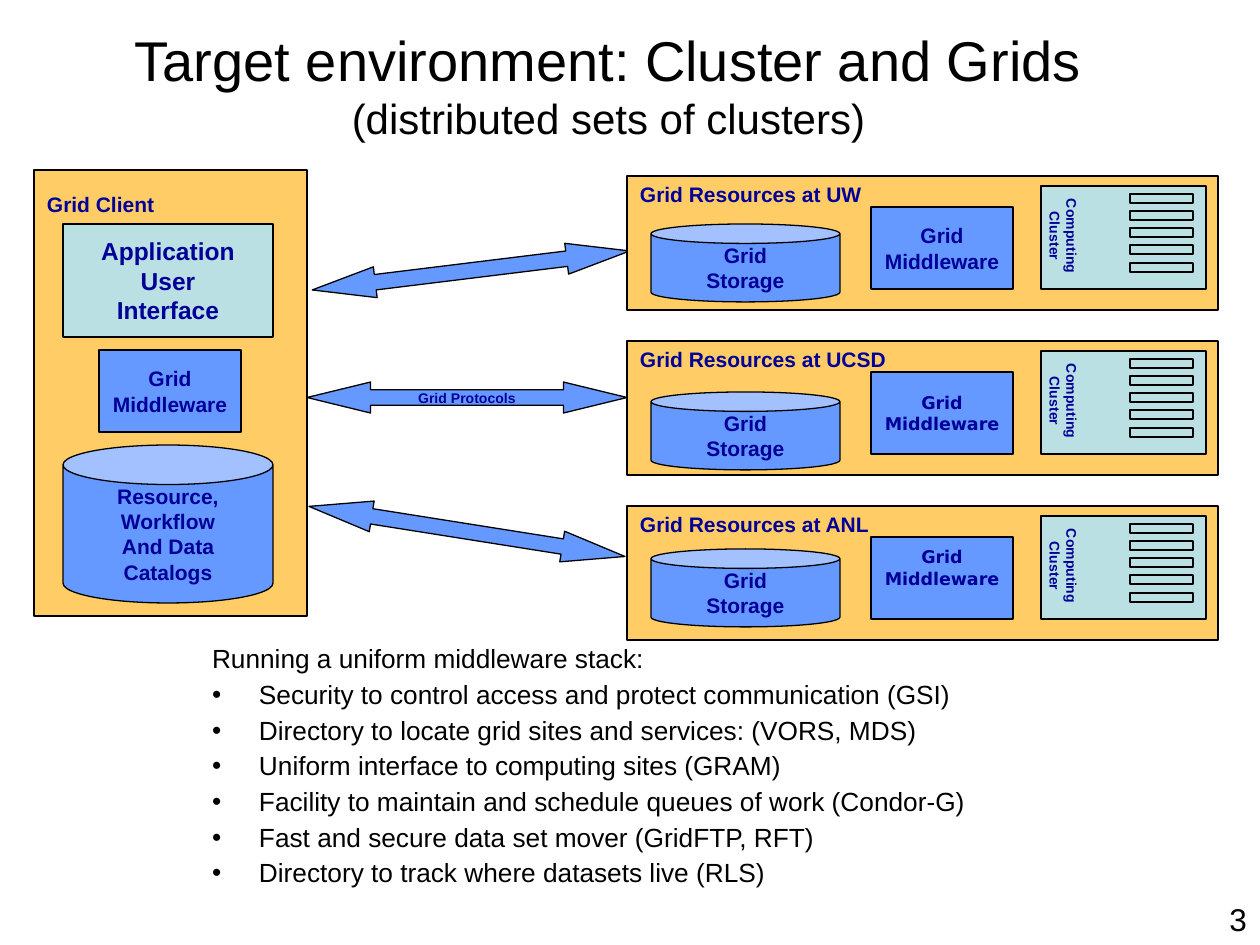
"""Build the slide on clusters and grids as a target environment."""
from dataclasses import dataclass

from lxml import etree
from pptx import Presentation
from pptx import util as u
from pptx.dml.color import RGBColor
from pptx.enum import shapes, text
from pptx.oxml import ns

Shape = shapes.MSO_SHAPE
Anchor = text.MSO_ANCHOR
Align = text.PP_ALIGN
EMU_PER_PX = 914400 / 126


@dataclass(frozen=True)
class Theme:
    sans: str = "Arial"
    alternate: str = "DejaVu Sans"
    ink: str = "000000"
    label: str = "000099"
    panel: str = "FFCC66"
    service: str = "6699FF"
    pale: str = "BBE0E3"
    title: int = 32
    subtitle: int = 24
    number: int = 18
    body: int = 15
    large: int = 14
    normal: int = 12
    compact: int = 10
    small: int = 8


THEME = Theme()


@dataclass(frozen=True)
class Box:
    left: int
    top: int
    width: int
    height: int
    fill: str
    kind: Shape = Shape.RECTANGLE
    lines: tuple[str, ...] = ()
    size: int = THEME.normal
    font: str = THEME.sans
    align: Align = Align.CENTER
    anchor: Anchor = Anchor.MIDDLE
    insets: tuple[int, int, int, int] = (13, 6, 13, 6)
    vertical: bool = False
    adjustments: tuple[float, ...] = ()
    rotation: int = 0


@dataclass(frozen=True)
class Site:
    name: str
    top: int
    storage_offset: int
    font: str = THEME.alternate
    size: int = THEME.compact
    bottom_inset: int = 6


SITES = (
    Site("UW", 176, 48, THEME.sans, THEME.normal),
    Site("UCSD", 341, 51),
    Site("ANL", 506, 43, bottom_inset=27),
)
MIDDLEWARE = ("Grid", "Middleware")
SERVICES = (
    "Security to control access and protect communication (GSI)",
    "Directory to locate grid sites and services: (VORS, MDS)",
    "Uniform interface to computing sites (GRAM)",
    "Facility to maintain and schedule queues of work (Condor-G)",
    "Fast and secure data set mover (GridFTP, RFT)",
    "Directory to track where datasets live (RLS)",
)


def px(length: int) -> u.Emu:
    """Turn pixels into EMU."""
    return u.Emu(round(length * EMU_PER_PX))


def place(shape, left: int, top: int, width: int, height: int) -> None:
    """Move and size a shape in pixels."""
    shape.left, shape.top, shape.width, shape.height = map(px, (left, top, width, height))


def set_font(font, size: int, color: str = THEME.ink, name: str = THEME.sans, bold: bool = False) -> None:
    """Set the face, size, colour and weight of a font."""
    font.name, font.size, font.bold = name, u.Pt(size), bold
    font.color.rgb = RGBColor.from_string(color)


def set_frame(frame, anchor: Anchor, insets: tuple[int, int, int, int] = (13, 6, 13, 6), wrap: bool = True) -> None:
    """Set the insets, anchor and wrapping of a text frame."""
    frame.margin_left, frame.margin_top, frame.margin_right, frame.margin_bottom = map(px, insets)
    frame.vertical_anchor, frame.word_wrap = anchor, wrap
    frame.auto_size = text.MSO_AUTO_SIZE.NONE


def draw_box(container, box: Box) -> None:
    """Draw an outlined shape with its label."""
    shape = container.add_shape(box.kind, *map(px, (box.left, box.top, box.width, box.height)))
    shape.shadow.inherit = False
    shape.fill.solid()
    shape.fill.fore_color.rgb = RGBColor.from_string(box.fill)
    shape.line.color.rgb = RGBColor.from_string(THEME.ink)
    shape.line.width = u.Pt(0.75)
    shape.rotation = box.rotation
    for index, value in enumerate(box.adjustments):
        shape.adjustments[index] = value
    if not box.lines:
        return
    frame = shape.text_frame
    set_frame(frame, box.anchor, box.insets, wrap=False)
    if box.vertical:
        frame._txBody.bodyPr.set("vert", "eaVert")
    frame.text = "\n".join(box.lines)
    for para in frame.paragraphs:
        para.alignment = box.align
        set_font(para.font, box.size, THEME.label, box.font, bold=True)


def draw_panel(container, left: int, top: int, width: int, height: int, label: str, top_inset: int = 6) -> None:
    """Draw a labelled background panel."""
    draw_box(container, Box(left, top, width, height, THEME.panel, lines=(label,), align=Align.LEFT,
                            anchor=Anchor.TOP, insets=(13, top_inset, 13, 6)))


def draw_site(container, site: Site) -> None:
    """Draw one grid site with storage, middleware and cluster."""
    draw_panel(container, 627, site.top, 591, 134, f"Grid Resources at {site.name}")
    draw_box(container, Box(651, site.top + site.storage_offset, 189, 78, THEME.service, Shape.CAN,
                            ("Grid", "Storage"), adjustments=(0.25,)))
    draw_box(container, Box(871, site.top + 31, 142, 82, THEME.service, lines=MIDDLEWARE, size=site.size,
                            font=site.font, insets=(13, 6, 13, site.bottom_inset)))
    cluster = container.add_group_shape().shapes
    draw_box(cluster, Box(1041, site.top + 10, 165, 103, THEME.pale, lines=("Computing", "Cluster"),
                          size=THEME.small, anchor=Anchor.BOTTOM, insets=(6, 13, 6, 13), vertical=True))
    for row in range(5):
        draw_box(cluster, Box(1130, site.top + 18 + row * 69 // 4, 63, 9, THEME.pale))


def draw_client(container) -> None:
    """Draw the grid client and its parts."""
    draw_panel(container, 34, 170, 273, 446, "Grid Client", top_inset=22)
    draw_box(container, Box(63, 224, 210, 113, THEME.pale, lines=("Application", "User", "Interface"),
                            size=THEME.large))
    draw_box(container, Box(99, 350, 142, 82, THEME.service, lines=MIDDLEWARE))
    draw_box(container, Box(63, 445, 210, 158, THEME.service, Shape.CAN,
                            ("Resource,", "Workflow", "And Data", "Catalogs"), adjustments=(0.25,)))


def draw_protocols(container) -> None:
    """Draw the arrows between the client and the sites."""
    for left, top, rotation, lines in ((311, 255, 353, ()), (307, 516, 9, ()), (307, 382, 0, ("Grid Protocols",))):
        draw_box(container, Box(left, top, 320, 31, THEME.service, Shape.LEFT_RIGHT_ARROW, lines,
                                size=THEME.small, adjustments=(0.5, 2.05), rotation=rotation))


def write_title(title) -> None:
    """Write the title and its smaller second line."""
    place(title, 73, -15, 1071, 198)
    set_frame(title.text_frame, Anchor.MIDDLE)
    para = title.text_frame.paragraphs[0]
    para.alignment = Align.CENTER
    span = para.add_run()
    span.text = "Target environment: Cluster and Grids"
    set_font(span.font, THEME.title)
    para.add_line_break()
    span = para.add_run()
    span.text = "(distributed sets of clusters)"
    set_font(span.font, THEME.subtitle)


def write_services(body) -> None:
    """Write the list of middleware services."""
    place(body, 199, 640, 892, 305)
    frame = body.text_frame
    set_frame(frame, Anchor.TOP)
    frame.text = "\n".join(("Running a uniform middleware stack:", *SERVICES))
    for index, para in enumerate(frame.paragraphs):
        para.alignment = Align.LEFT
        para.line_spacing = 0.9
        para.space_before = u.Pt(4.2 if index else 0)
        properties = para._p.get_or_add_pPr()
        properties.set("marL", str(px(47)))
        properties.set("indent", str(px(-47)))
        if index:
            etree.SubElement(properties, ns.qn("a:buChar"), char="•")
        else:
            etree.SubElement(properties, ns.qn("a:buNone"))
        set_font(para.font, THEME.body)


def write_number(container) -> None:
    """Write the slide number."""
    box = container.add_textbox(*map(px, (1197, 903, 63, 40)))
    set_frame(box.text_frame, Anchor.TOP)
    para = box.text_frame.paragraphs[0]
    para.text, para.alignment, para.line_spacing = "3", Align.RIGHT, 0.74
    set_font(para.font, THEME.number)


def main() -> None:
    """Build and save the deck."""
    deck = Presentation()
    deck.slide_width, deck.slide_height = u.Inches(10), u.Inches(7.5)
    page = deck.slides.add_slide(deck.slide_layouts[1])
    write_title(page.shapes.title)
    write_services(page.placeholders[1])
    draw_protocols(page.shapes)
    for site in SITES:
        draw_site(page.shapes, site)
    draw_client(page.shapes)
    write_number(page.shapes)
    deck.save("out.pptx")


if __name__ == "__main__":
    main()
